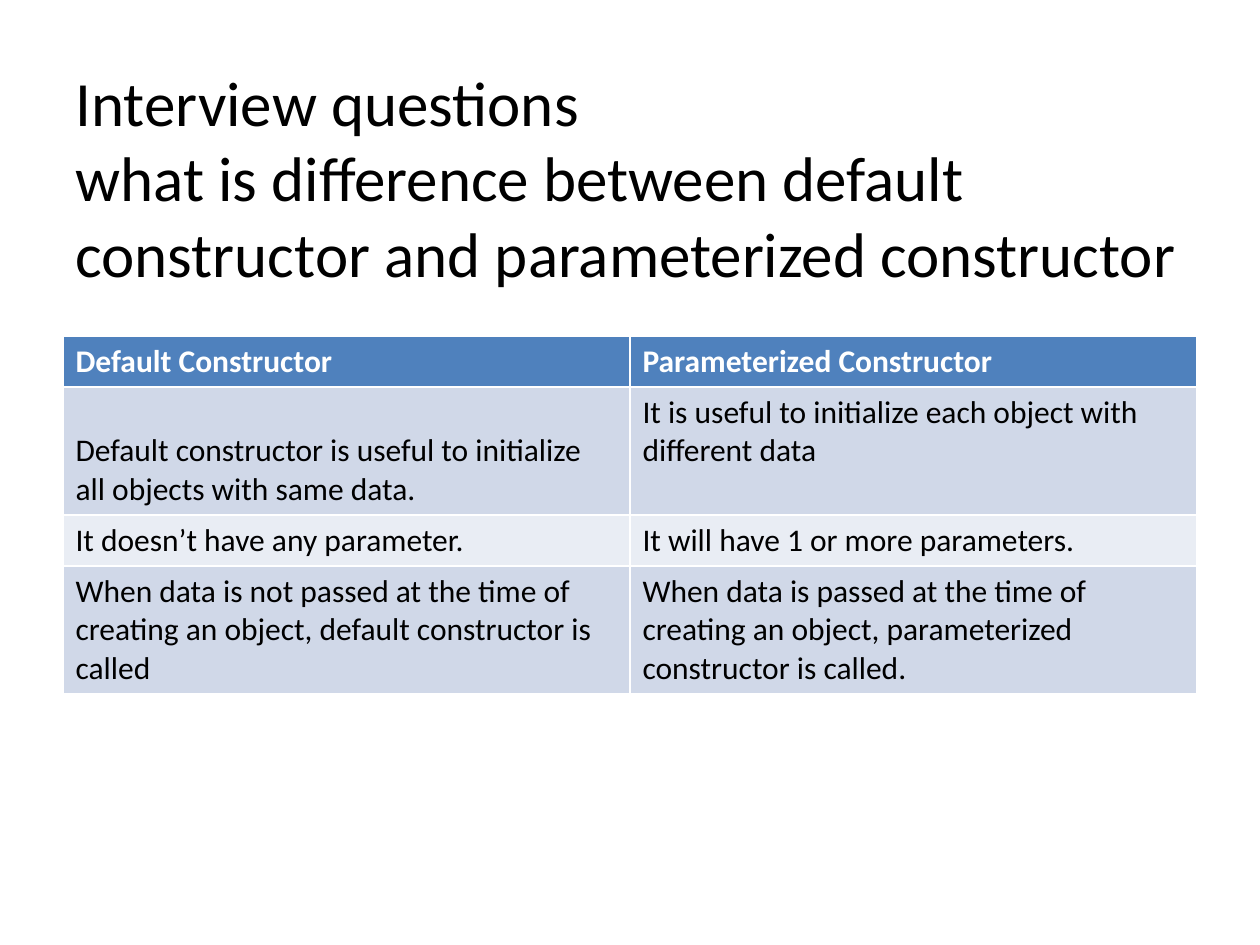
from lxml import etree
from pptx import Presentation
from pptx import util as u
from pptx.dml.color import RGBColor
from pptx.enum import text
from pptx.oxml.ns import qn

PX = 914400 // 126
FONT = "Calibri"
BLACK = RGBColor(0x00, 0x00, 0x00)
WHITE = RGBColor(0xFF, 0xFF, 0xFF)
HEADER_FILL = RGBColor(0x4F, 0x81, 0xBD)
BAND_FILLS = (RGBColor(0xE9, 0xED, 0xF4), RGBColor(0xD0, 0xD8, 0xE8))

TITLE = ("Interview questions\v"
         "what is difference between default constructor and parameterized constructor")
ROWS = [
    ("Default Constructor", "Parameterized Constructor"),
    ("Default constructor is useful to initialize all objects with same data.",
     "It is useful to initialize each object with different data"),
    ("It doesn’t have any parameter.", "It will have 1 or more parameters."),
    ("When data is not passed at the time of creating an object, default constructor is called",
     "When data is passed at the time of creating an object, parameterized constructor is called."),
]
ROW_HEIGHTS = (51, 128, 51, 127)
BOTTOM_ANCHORED = (1, 0)
LEFT, WIDTH = 63, 1134
TITLE_TOP, TITLE_HEIGHT, TABLE_TOP = 38, 277, 336


def px(length):
    return u.Emu(length * PX)


def write(frame, content, size, color=BLACK, bold=False):
    frame.text = content
    paragraph = frame.paragraphs[0]
    paragraph.alignment = text.PP_ALIGN.LEFT
    for run in paragraph.runs:
        run.font.name = FONT
        run.font.size = u.Pt(size)
        run.font.bold = bold
        run.font.color.rgb = color
    for line_break in paragraph._p.findall(qn("a:br")):
        etree.SubElement(line_break, qn("a:rPr"), sz=str(size * 100))


def add_title(slide):
    title = slide.shapes.title
    title.left, title.top = px(LEFT), px(TITLE_TOP)
    title.width, title.height = px(WIDTH), px(TITLE_HEIGHT)
    frame = title.text_frame
    frame.word_wrap = True
    frame.auto_size = text.MSO_AUTO_SIZE.NONE
    frame.vertical_anchor = text.MSO_ANCHOR.MIDDLE
    write(frame, TITLE, 36)


def add_comparison(slide):
    table = slide.shapes.add_table(
        len(ROWS), len(ROWS[0]), px(LEFT), px(TABLE_TOP),
        px(WIDTH), px(sum(ROW_HEIGHTS))).table
    for r, (row, height) in enumerate(zip(ROWS, ROW_HEIGHTS)):
        table.rows[r].height = px(height)
        header = r == 0
        for c, content in enumerate(row):
            cell = table.cell(r, c)
            cell.fill.solid()
            cell.fill.fore_color.rgb = HEADER_FILL if header else BAND_FILLS[r % 2]
            if (r, c) == BOTTOM_ANCHORED:
                cell.vertical_anchor = text.MSO_ANCHOR.BOTTOM
            write(cell.text_frame, content, 18, color=WHITE if header else BLACK, bold=header)


def main():
    presentation = Presentation()
    presentation.slide_width, presentation.slide_height = px(1260), px(945)
    slide = presentation.slides.add_slide(presentation.slide_layouts[5])
    add_title(slide)
    add_comparison(slide)
    presentation.save("out.pptx")


if __name__ == "__main__":
    main()
